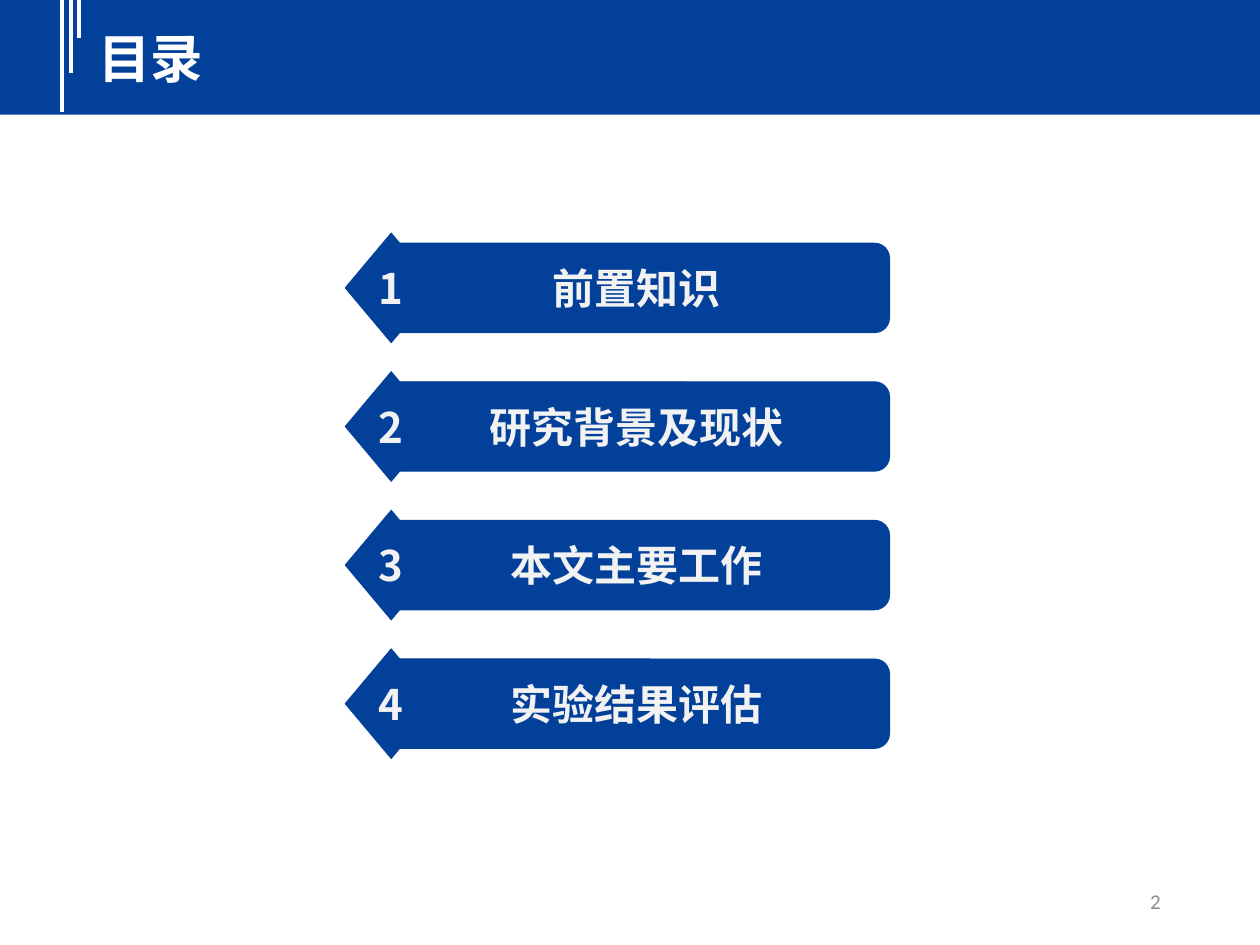
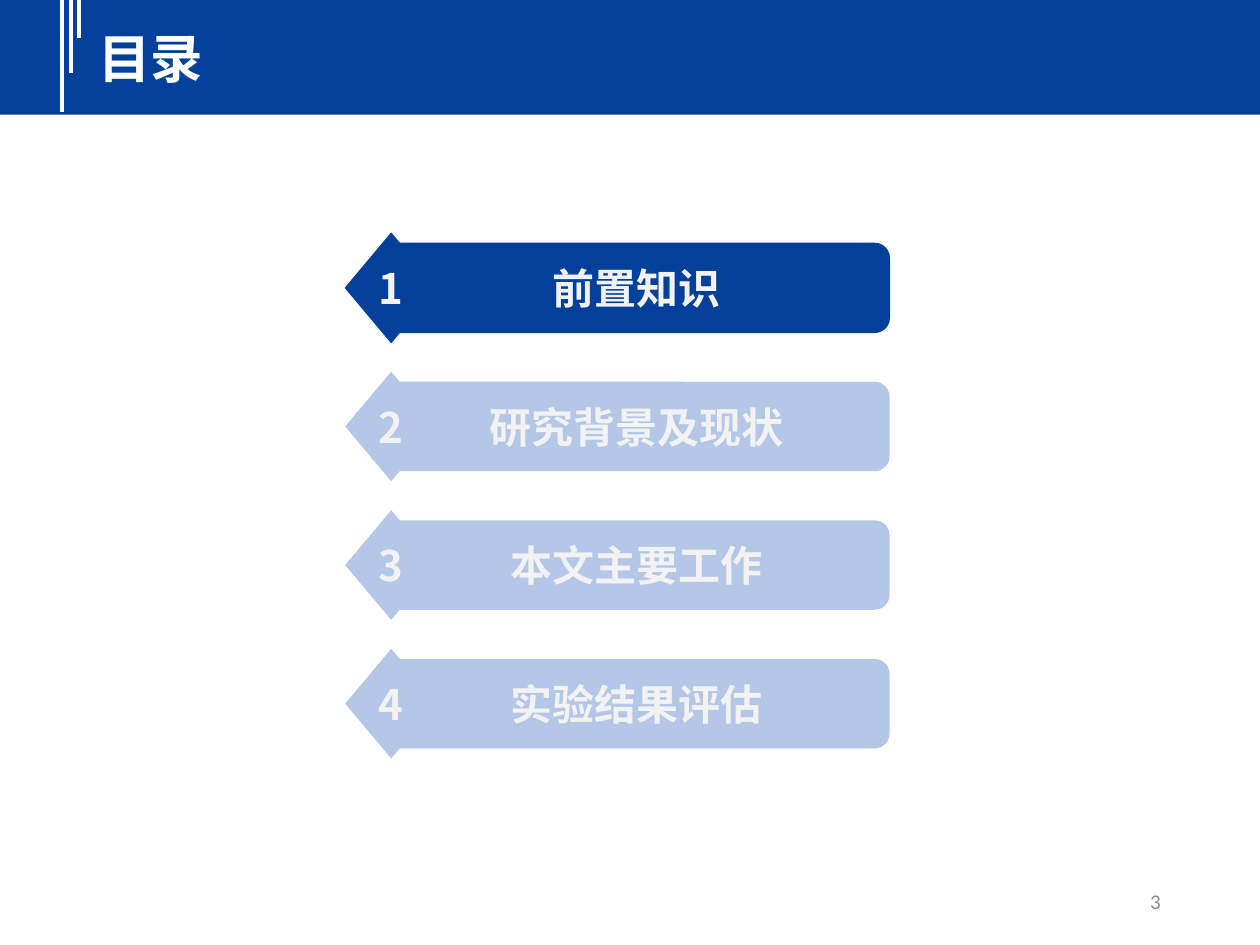
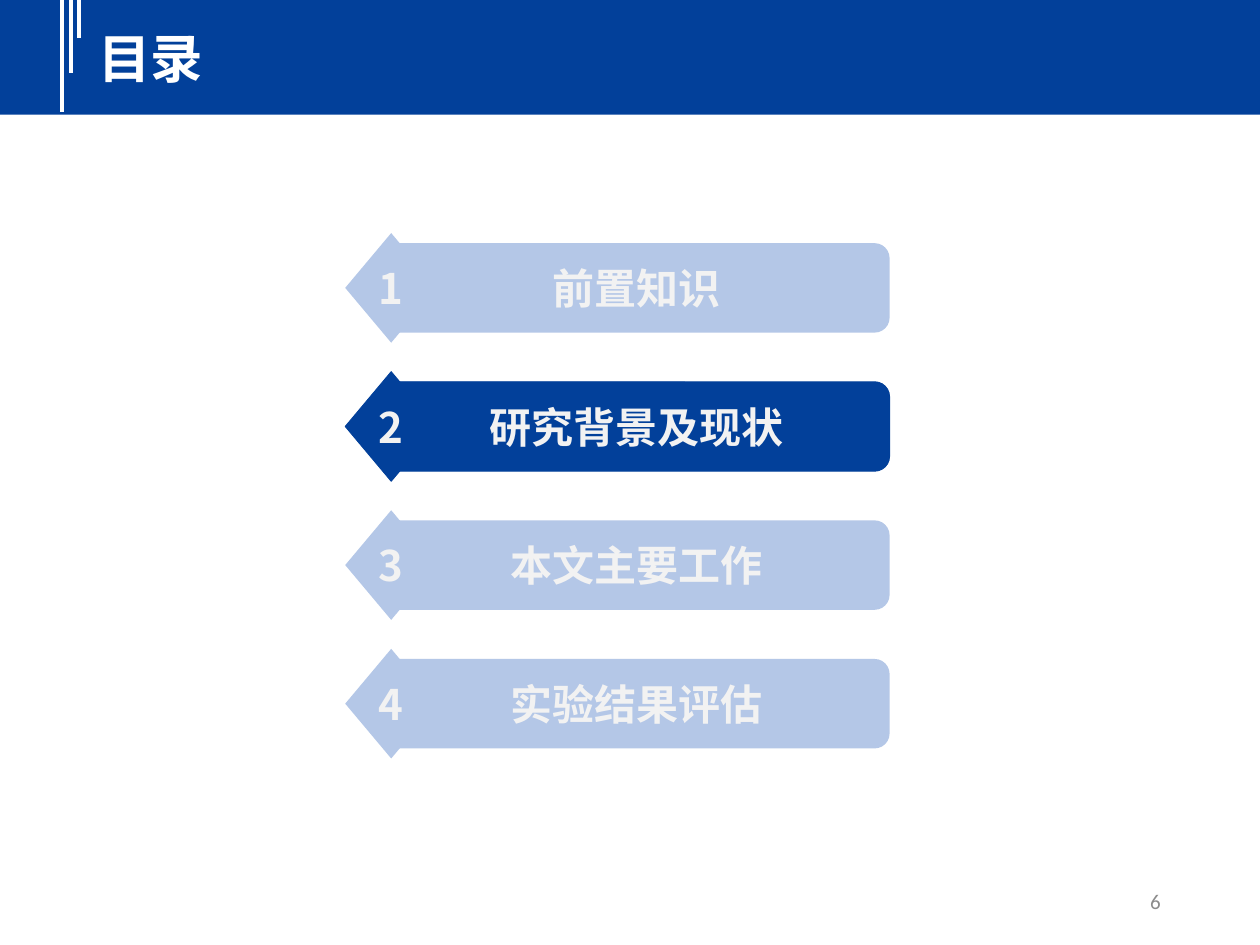
import pptx
import pptx.dml.color
import pptx.enum.shapes
import pptx.enum.text
import pptx.oxml
import pptx.oxml.ns
import pptx.util
from dataclasses import dataclass

Inches = pptx.util.Inches
Pt = pptx.util.Pt
RGBColor = pptx.dml.color.RGBColor
Shape = pptx.enum.shapes.MSO_SHAPE
Align = pptx.enum.text.PP_ALIGN
Anchor = pptx.enum.text.MSO_ANCHOR
AutoSize = pptx.enum.text.MSO_AUTO_SIZE

TITLE = "目录"
SECTIONS = ["前置知识", "研究背景及现状", "本文主要工作", "实验结果评估"]
ALL_SECTIONS = range(len(SECTIONS))
# Page number and the sections shown in full colour
AGENDA_SLIDES = [(2, ALL_SECTIONS), (3, [0]), (6, [1])]


@dataclass(frozen=True)
class Theme:
    primary: str = "02409A"
    faded: str = "B4C7E7"
    white: str = "FFFFFF"
    label: str = "F2F2F2"
    page_number: str = "8C8C8C"
    latin_font: str = "Calibri"
    chinese_font: str = "Noto Sans CJK SC"
    title_size: int = 30
    section_size: int = 24
    page_number_size: int = 12


THEME = Theme()

BAND_TOP = -0.03
BAND_HEIGHT = 0.94
STRIPE_LEFT = 0.49
STRIPE_GAP = 0.07
STRIPE_BOTTOMS = [0.89, 0.58, 0.3]

SECTION_TOP = 1.85
SECTION_PITCH = 1.1
DIAMOND_LEFT, DIAMOND_WIDTH, DIAMOND_HEIGHT = 2.74, 0.73, 0.87
BAR_LEFT, BAR_WIDTH, BAR_HEIGHT = 3.04, 4.02, 0.71


def add_run(paragraph, text, font_name, size, color, bold=False):
    run = paragraph.add_run()
    run.text = text
    run.font.name = font_name
    run.font.size = Pt(size)
    run.font.bold = bold
    run.font.color.rgb = RGBColor.from_string(color)
    east_asian = pptx.oxml.parse_xml(
        f'<a:ea {pptx.oxml.ns.nsdecls("a")} typeface="{THEME.chinese_font}"/>')
    run.font._element.find(pptx.oxml.ns.qn("a:latin")).addnext(east_asian)


def add_filled_shape(shapes, kind, left, top, width, height, fill, outlined=False):
    shape = shapes.add_shape(
        kind, Inches(left), Inches(top), Inches(width), Inches(height))
    shape.shadow.inherit = False
    shape.fill.solid()
    shape.fill.fore_color.rgb = RGBColor.from_string(fill)
    if outlined:
        shape.line.color.rgb = RGBColor.from_string(fill)
        shape.line.width = Pt(0.5)
    else:
        shape.line.fill.background()
    return shape


def add_header(slide):
    add_filled_shape(slide.shapes, Shape.RECTANGLE, 0, BAND_TOP, 10, BAND_HEIGHT,
                     THEME.primary)
    for index, bottom in enumerate(STRIPE_BOTTOMS):
        x = Inches(STRIPE_LEFT + index * STRIPE_GAP)
        stripe = slide.shapes.add_connector(
            pptx.enum.shapes.MSO_CONNECTOR.STRAIGHT,
            x, Inches(BAND_TOP), x, Inches(bottom))
        stripe.line.color.rgb = RGBColor.from_string(THEME.white)
        stripe.line.width = Pt(2.25)
        stripe.element.spPr.append(pptx.oxml.parse_xml(
            f'<a:effectLst {pptx.oxml.ns.nsdecls("a")}/>'))

    title = slide.shapes.title
    slide.shapes.element.append(title.element)  # bring the title above the band
    title.left, title.top = Inches(0.68), Inches(0.16)
    title.width, title.height = Inches(9.12), Inches(0.6)
    frame = title.text_frame
    frame.vertical_anchor = Anchor.TOP
    frame.auto_size = AutoSize.SHAPE_TO_FIT_TEXT
    paragraph = frame.paragraphs[0]
    paragraph.alignment = Align.LEFT
    add_run(paragraph, TITLE, THEME.chinese_font, THEME.title_size, THEME.white, True)


def add_section(slide, index, name, active):
    """Add a rounded bar with the name and a diamond with the number."""
    color = THEME.primary if active else THEME.faded
    top = SECTION_TOP + index * SECTION_PITCH
    bar_top = top + (DIAMOND_HEIGHT - BAR_HEIGHT) / 2
    group = slide.shapes.add_group_shape()
    bar = add_filled_shape(group.shapes, Shape.ROUNDED_RECTANGLE, BAR_LEFT, bar_top,
                           BAR_WIDTH, BAR_HEIGHT, color, active)
    diamond = add_filled_shape(group.shapes, Shape.DIAMOND, DIAMOND_LEFT, top,
                               DIAMOND_WIDTH, DIAMOND_HEIGHT, color, active)
    for shape, text, font_name in [(bar, name, THEME.latin_font),
                                   (diamond, str(index + 1), THEME.chinese_font)]:
        frame = shape.text_frame
        frame.word_wrap = False
        frame.vertical_anchor = Anchor.MIDDLE
        paragraph = frame.paragraphs[0]
        paragraph.alignment = Align.CENTER
        add_run(paragraph, text, font_name, THEME.section_size, THEME.label, True)


def add_page_number(slide, number):
    box = slide.shapes.add_textbox(
        Inches(7.06), Inches(6.95), Inches(2.25), Inches(0.4))
    frame = box.text_frame
    frame.word_wrap = True
    frame.vertical_anchor = Anchor.MIDDLE
    paragraph = frame.paragraphs[0]
    paragraph.alignment = Align.RIGHT
    add_run(paragraph, str(number), THEME.latin_font, THEME.page_number_size,
            THEME.page_number)


def main():
    presentation = pptx.Presentation()
    presentation.slide_width = Inches(10)
    presentation.slide_height = Inches(7.5)
    title_only = presentation.slide_layouts.get_by_name("Title Only")
    for page_number, active_sections in AGENDA_SLIDES:
        slide = presentation.slides.add_slide(title_only)
        add_header(slide)
        for index, name in enumerate(SECTIONS):
            add_section(slide, index, name, index in active_sections)
        add_page_number(slide, page_number)
    presentation.save("out.pptx")


if __name__ == "__main__":
    main()
